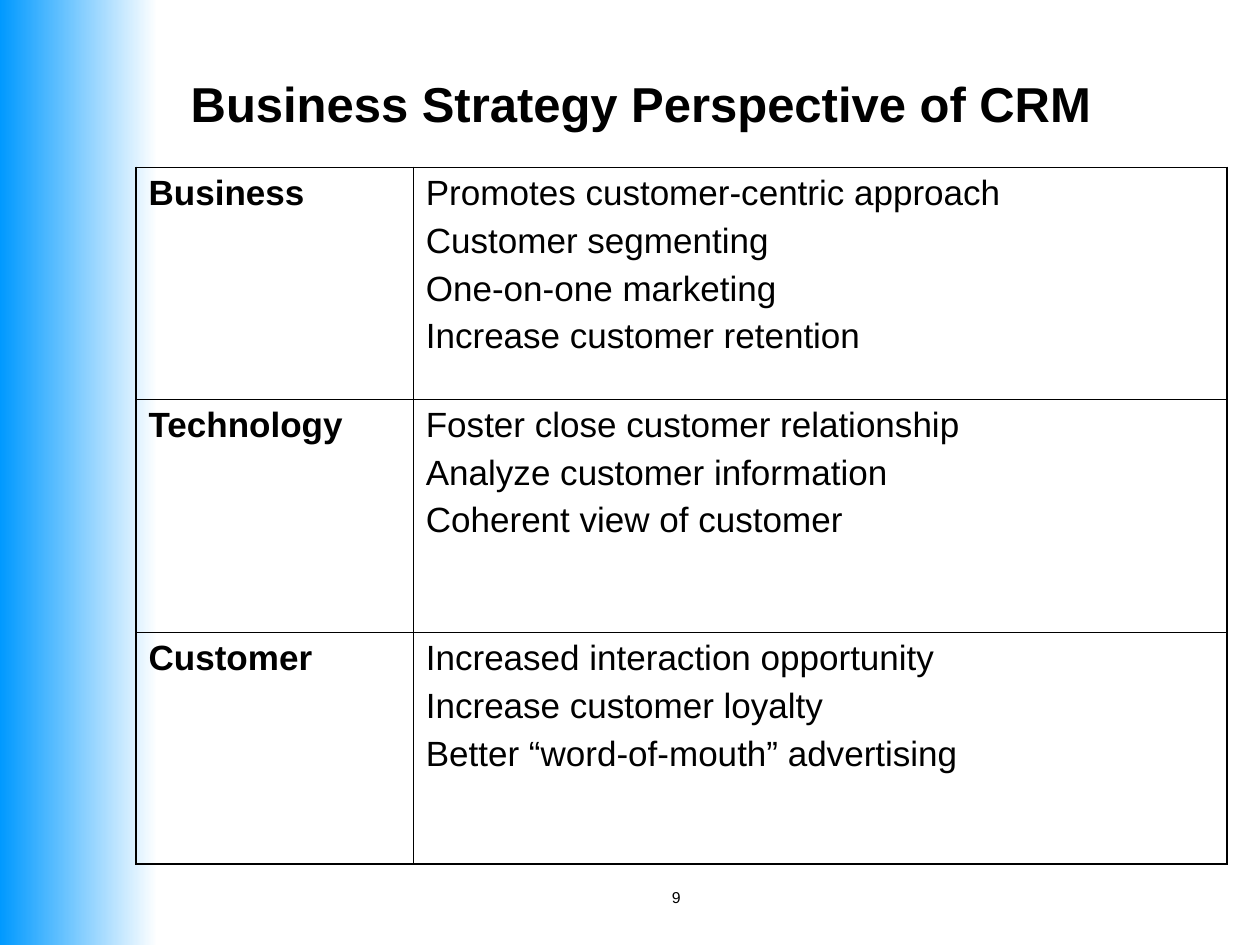
"""Build the CRM business strategy slide with its three-row table."""
from lxml import etree
from pptx import Presentation
from pptx.dml.color import RGBColor
from pptx.enum.shapes import MSO_SHAPE
from pptx.enum.text import MSO_ANCHOR, PP_ALIGN
from pptx.oxml.ns import qn
from pptx.util import Inches, Pt

RECT = MSO_SHAPE.RECTANGLE
MIDDLE = MSO_ANCHOR.MIDDLE
CENTER, RIGHT = PP_ALIGN.CENTER, PP_ALIGN.RIGHT
BLACK = RGBColor(0x00, 0x00, 0x00)
WHITE = RGBColor(0xFF, 0xFF, 0xFF)
BLUE = RGBColor(0x00, 0x99, 0xFF)
OUTER, INNER = Pt(1.08), Pt(0.45)

ROWS = [
    ("Business", ["Promotes customer-centric approach", "Customer segmenting",
                  "One-on-one marketing", "Increase customer retention"]),
    ("Technology", ["Foster close customer relationship",
                    "Analyze customer information", "Coherent view of customer"]),
    ("Customer", ["Increased interaction opportunity", "Increase customer loyalty",
                  "Better “word-of-mouth” advertising"]),
]


def write(tf, lines, size, bold=False, align=None, gap=0):
    for i, line in enumerate(lines):
        p = tf.paragraphs[0] if i == 0 else tf.add_paragraph()
        p.alignment = align
        if i:
            p.space_before = Pt(gap)
        r = p.add_run()
        r.text = line
        for name, value in {"name": "Arial", "size": Pt(size), "bold": bold}.items():
            setattr(r.font, name, value)
        r.font.color.rgb = BLACK


def set_borders(cell, widths):
    tcPr = cell._tc.get_or_add_tcPr()
    for i, (side, width) in enumerate(widths.items()):
        ln = etree.Element(qn(f"a:{side}"), w=str(width))
        fill = etree.SubElement(ln, qn("a:solidFill"))
        etree.SubElement(fill, qn("a:srgbClr"), val=str(BLACK))
        tcPr.insert(i, ln)


prs = Presentation()
prs.slide_width, prs.slide_height = Inches(10), Inches(7.5)
s = prs.slides.add_slide(prs.slide_layouts[5])
s.background.fill.solid()
s.background.fill.fore_color.rgb = WHITE

band = s.shapes.add_shape(RECT, 0, 0, Inches(1.25), Inches(7.5))
band.shadow.inherit = False
band.line.fill.background()
band.fill.gradient()
band.fill.gradient_angle = 0
for stop, color, position in zip(band.fill.gradient_stops, (BLUE, WHITE), (0, 1)):
    stop.color.rgb = color
    stop.position = position
s.shapes.title.element.addprevious(band.element)

title = s.shapes.title
title.left, title.top = Inches(0.67), Inches(0.47)
title.width, title.height = Inches(8.83), Inches(0.7)
title.text_frame.vertical_anchor = MIDDLE
write(title.text_frame, ["Business Strategy Perspective of CRM"], 28, True, CENTER)

number = s.shapes.add_textbox(Inches(3.17), Inches(7), Inches(2.33), Inches(0.52))
number.text_frame.word_wrap = True
write(number.text_frame, ["9"], 9, align=RIGHT)

table = s.shapes.add_table(len(ROWS), 2, Inches(1.08), Inches(1.33),
                           Inches(8.67), Inches(5.53)).table
table.first_row = table.horz_banding = False
for column, width in zip(table.columns, (2.2, 6.46)):
    column.width = Inches(width)
for row, height in zip(table.rows, (1.84, 1.85, 1.84)):
    row.height = Inches(height)

last = len(ROWS) - 1
for i, (heading, points) in enumerate(ROWS):
    for j, lines in enumerate(([heading], points)):
        cell = table.cell(i, j)
        cell.fill.background()
        cell.margin_left = cell.margin_right = Inches(0.1)
        cell.margin_top = cell.margin_bottom = Inches(0.05)
        write(cell.text_frame, lines, 20, bold=j == 0, gap=5)
        set_borders(cell, {"lnL": OUTER if j == 0 else INNER,
                           "lnR": OUTER if j == 1 else INNER,
                           "lnT": OUTER if i == 0 else INNER,
                           "lnB": OUTER if i == last else INNER})

prs.save("out.pptx")
